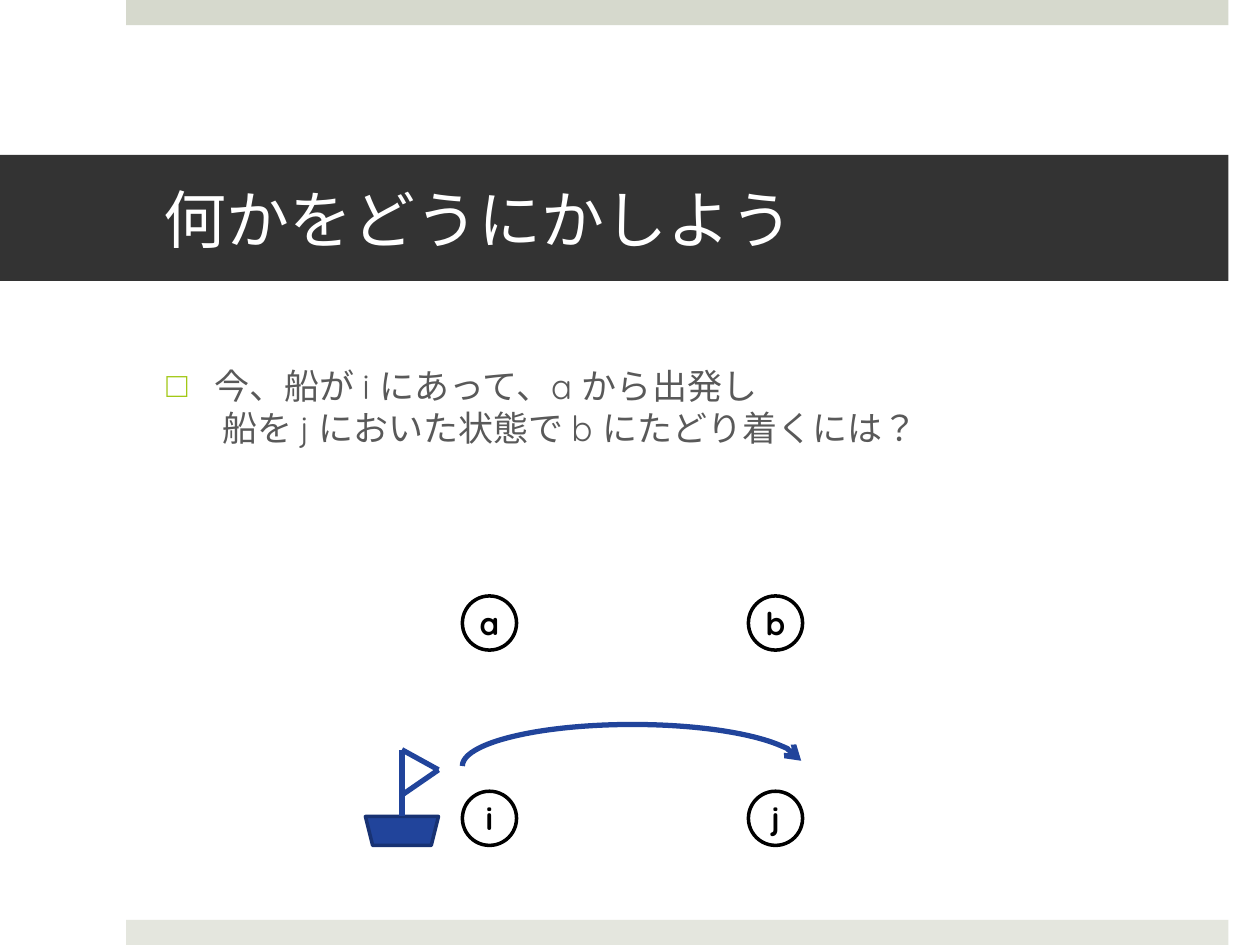
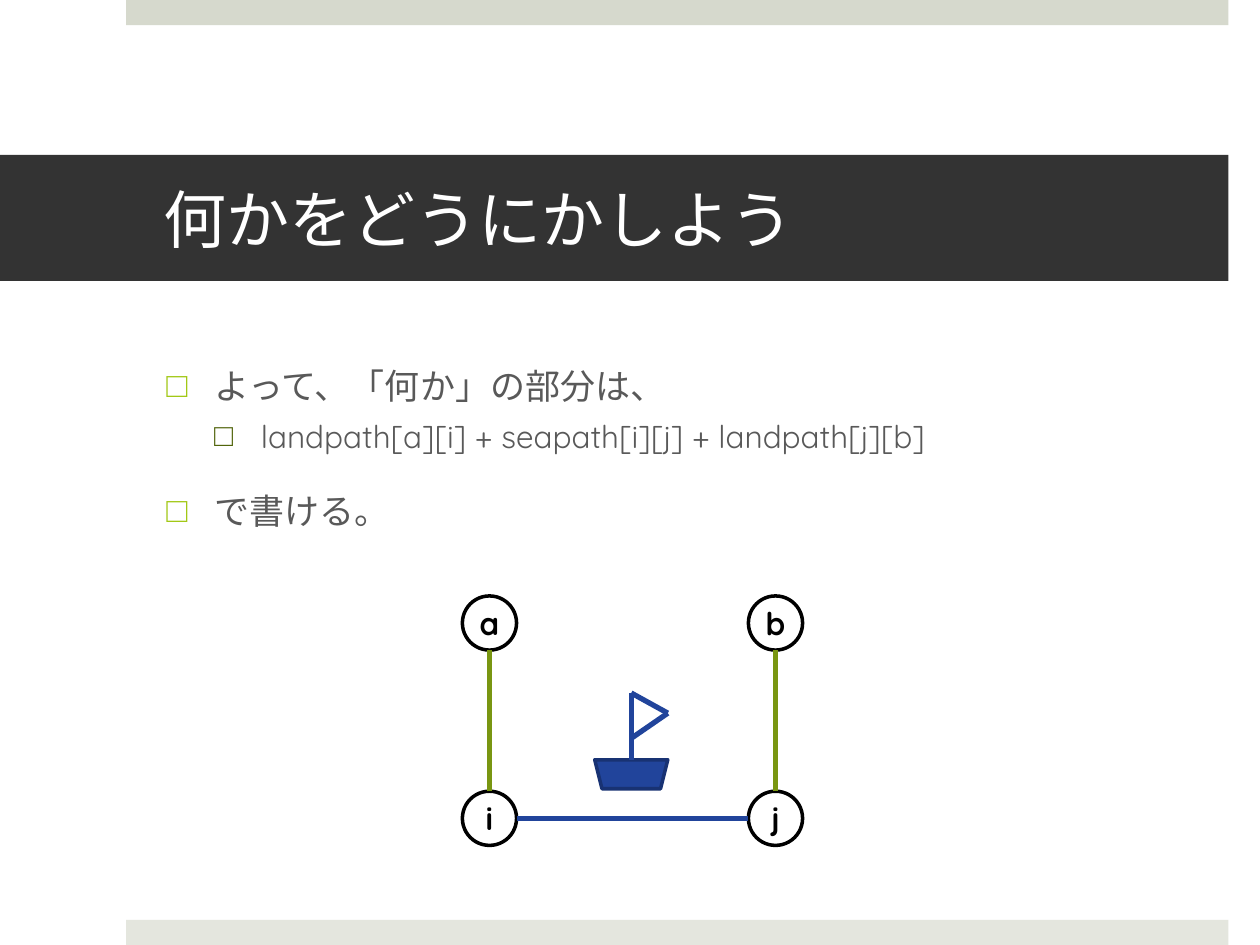
from dataclasses import dataclass

from lxml.etree import SubElement
from pptx import Presentation
from pptx.dml.color import RGBColor
from pptx.enum.lang import MSO_LANGUAGE_ID
from pptx.enum.shapes import MSO_CONNECTOR, MSO_SHAPE
from pptx.enum.text import MSO_ANCHOR, MSO_AUTO_SIZE, PP_ALIGN
from pptx.oxml.ns import qn
from pptx.util import Inches, Pt


@dataclass(frozen=True)
class Theme:
    font: str = "Quicksand"
    top_band: str = "D6D9CD"
    bottom_band: str = "E4E6DE"
    title_fill: str = "333333"
    white: str = "FFFFFF"
    black: str = "000000"
    text: str = "595959"
    bullets: tuple = ("A2C816", "51640B")
    land: str = "799611"
    sea: str = "21449B"
    hull_edge: str = "183273"
    title_size: int = 36
    body_sizes: tuple = (20, 18)
    node_size: int = 18
    outline: int = 2
    stroke: int = 3


THEME = Theme()

# Content: body lines are (level, text); the boat is placed by its hull
TITLE = "何かをどうにかしよう"
SLIDES = [
    {
        "body": [(0, "今、船が i にあって、a から出発し\n 船を j においた状態で b にたどり着くには？")],
        "body_height": 0.9,
        "links": [],
        "boat": (2.9, 6.48),
        "voyage": True,
    },
    {
        "body": [
            (0, "よって、「何か」の部分は、"),
            (1, "landpath[a][i] + seapath[i][j] + landpath[j][b]"),
            (0, "で書ける。"),
        ],
        "body_height": 1.71,
        "links": [("i", "a", THEME.land), ("j", "b", THEME.land), ("j", "i", THEME.sea)],
        "boat": (4.72, 6.03),
        "voyage": False,
    },
]

# Geometry in inches
BANDS = [(0, THEME.top_band), (7.3, THEME.bottom_band)]
NODE = 0.43
COLUMNS, ROWS = (3.67, 5.94), (4.73, 6.28)
NODES = {name: (COLUMNS[i % 2], ROWS[i // 2]) for i, name in enumerate("abij")}
HULL = (0.58, 0.23)
MAST_X, MAST_TOP, SAIL_FOOT = 0.29, -0.53, -0.17
SAIL_TIP = (0.58, -0.37)
RIGGING = [
    ((MAST_X, MAST_TOP), (MAST_X, 0)),
    ((MAST_X, MAST_TOP), SAIL_TIP),
    ((MAST_X, SAIL_FOOT), SAIL_TIP),
]
INDENTS = ((0.38, -0.38), (0.75, -0.37))
SPACE_BEFORE = (20, 6)


def colour(code):
    return RGBColor.from_string(code)


def place(shape, left, top, width, height):
    shape.left, shape.top = Inches(left), Inches(top)
    shape.width, shape.height = Inches(width), Inches(height)


def style_runs(paragraph, size, code, bold=False):
    for run in paragraph.runs:
        run.font.name = THEME.font
        run.font.size = Pt(size)
        run.font.bold = bold
        run.font.color.rgb = colour(code)
        run.font.language_id = MSO_LANGUAGE_ID.JAPANESE


def add_shape(shapes, preset, box, fill=None, line=None, width=THEME.outline):
    shape = shapes.add_shape(preset, *map(Inches, box))
    shape.shadow.inherit = False
    if fill:
        shape.fill.solid()
        shape.fill.fore_color.rgb = colour(fill)
    else:
        shape.fill.background()
    if line:
        shape.line.color.rgb = colour(line)
        shape.line.width = Pt(width)
    else:
        shape.line.fill.background()
    return shape


def add_line(shapes, start, end, code):
    line = shapes.add_connector(MSO_CONNECTOR.STRAIGHT, *map(Inches, (*start, *end)))
    line.line.color.rgb = colour(code)
    line.line.width = Pt(THEME.stroke)
    SubElement(line._element.spPr, qn("a:effectLst"))


def add_bands(slide, layout):
    """Draw the two bands and move them to the shared layout."""
    for top, fill in BANDS:
        band = add_shape(slide.shapes, MSO_SHAPE.RECTANGLE, (1, top, 8.75, 0.2), fill)
        layout.shapes._spTree.append(band._element)


def fill_title(title):
    place(title, 0, 1.23, 9.75, 1)
    title.fill.solid()
    title.fill.fore_color.rgb = colour(THEME.title_fill)
    frame = title.text_frame
    frame.text = TITLE
    frame.auto_size = MSO_AUTO_SIZE.NONE
    frame.vertical_anchor = MSO_ANCHOR.MIDDLE
    frame.margin_left, frame.margin_right = Inches(1.3), Inches(0.3)
    frame.margin_top = frame.margin_bottom = Inches(0.05)
    frame.paragraphs[0].alignment = PP_ALIGN.LEFT
    style_runs(frame.paragraphs[0], THEME.title_size, THEME.white)


def fill_body(body, lines, height):
    place(body, 1.22, 2.84, 8.32, height)
    frame = body.text_frame
    frame.auto_size = MSO_AUTO_SIZE.NONE
    for index, (level, text) in enumerate(lines):
        paragraph = frame.add_paragraph() if index else frame.paragraphs[0]
        paragraph.text = text
        paragraph.level = level
        paragraph.space_before = Pt(SPACE_BEFORE[level])
        style_runs(paragraph, THEME.body_sizes[level], THEME.text)
        properties = paragraph._p.get_or_add_pPr()
        for name, value in zip(("marL", "indent"), INDENTS[level]):
            properties.set(name, str(Inches(value)))
        bullet_colour = SubElement(properties, qn("a:buClr"))
        SubElement(bullet_colour, qn("a:srgbClr")).set("val", THEME.bullets[level])
        SubElement(properties, qn("a:buChar")).set("char", "□")


def add_nodes(shapes):
    for name, corner in NODES.items():
        node = add_shape(shapes, MSO_SHAPE.OVAL, (*corner, NODE, NODE), THEME.white, THEME.black)
        frame = node.text_frame
        frame.text = name
        frame.word_wrap = False
        frame.vertical_anchor = MSO_ANCHOR.MIDDLE
        frame.paragraphs[0].alignment = PP_ALIGN.CENTER
        style_runs(frame.paragraphs[0], THEME.node_size, THEME.black, bold=True)


def add_link(shapes, start, end, code):
    """Join the facing edges of two nodes in the same row or column."""
    (x1, y1), (x2, y2) = NODES[start], NODES[end]
    half = NODE / 2
    if x1 == x2:
        add_line(shapes, (x1 + half, y1), (x2 + half, y2 + NODE), code)
    else:
        add_line(shapes, (x1, y1 + half), (x2 + NODE, y2 + half), code)


def add_boat(shapes, left, top):
    boat = shapes.add_group_shape().shapes
    hull = add_shape(boat, MSO_SHAPE.TRAPEZOID, (left, top, *HULL), THEME.sea, THEME.hull_edge)
    hull.rotation = 180
    for start, end in RIGGING:
        add_line(boat, *((left + x, top + y) for x, y in (start, end)), THEME.sea)


def add_voyage(shapes):
    """Curve from i over to j, with the arrowhead at j."""
    width = COLUMNS[1] + NODE - COLUMNS[0]
    arc = add_shape(shapes, MSO_SHAPE.ARC, (COLUMNS[0], 5.75, width, 0.66),
                    line=THEME.sea, width=THEME.stroke)
    arc.adjustments[0], arc.adjustments[1] = 109.07, 0
    arc._element.spPr.find(qn("a:xfrm")).set("flipH", "1")
    SubElement(arc.line._get_or_add_ln(), qn("a:headEnd")).set("type", "arrow")


# Build the slides
deck = Presentation()
deck.slide_width, deck.slide_height = Inches(10), Inches(7.5)
layout = deck.slide_layouts[1]

for number, content in enumerate(SLIDES):
    slide = deck.slides.add_slide(layout)
    if number == 0:
        add_bands(slide, layout)
    fill_title(slide.shapes.title)
    fill_body(slide.placeholders[1], content["body"], content["body_height"])
    add_nodes(slide.shapes)
    for link in content["links"]:
        add_link(slide.shapes, *link)
    add_boat(slide.shapes, *content["boat"])
    if content["voyage"]:
        add_voyage(slide.shapes)

deck.save("out.pptx")
